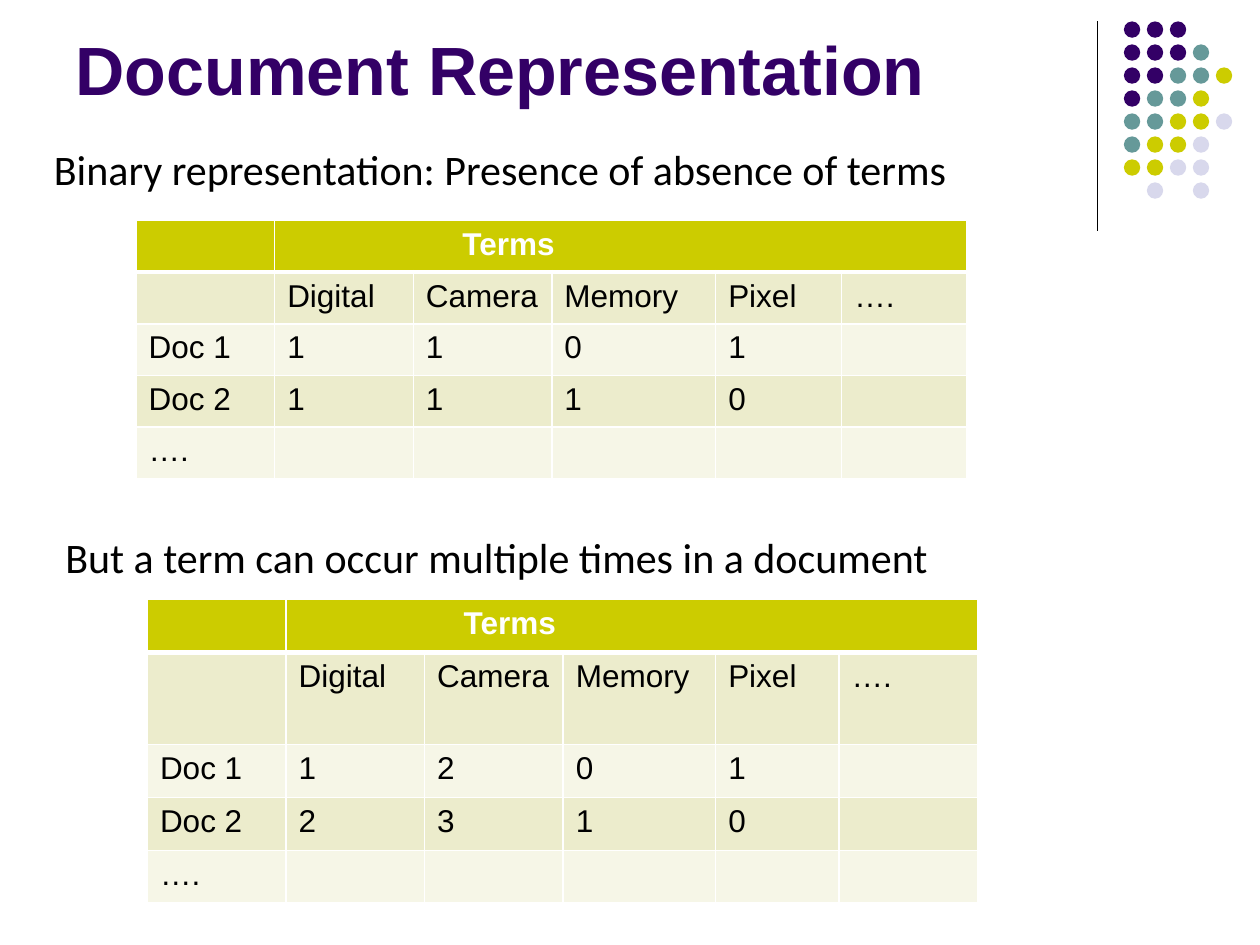
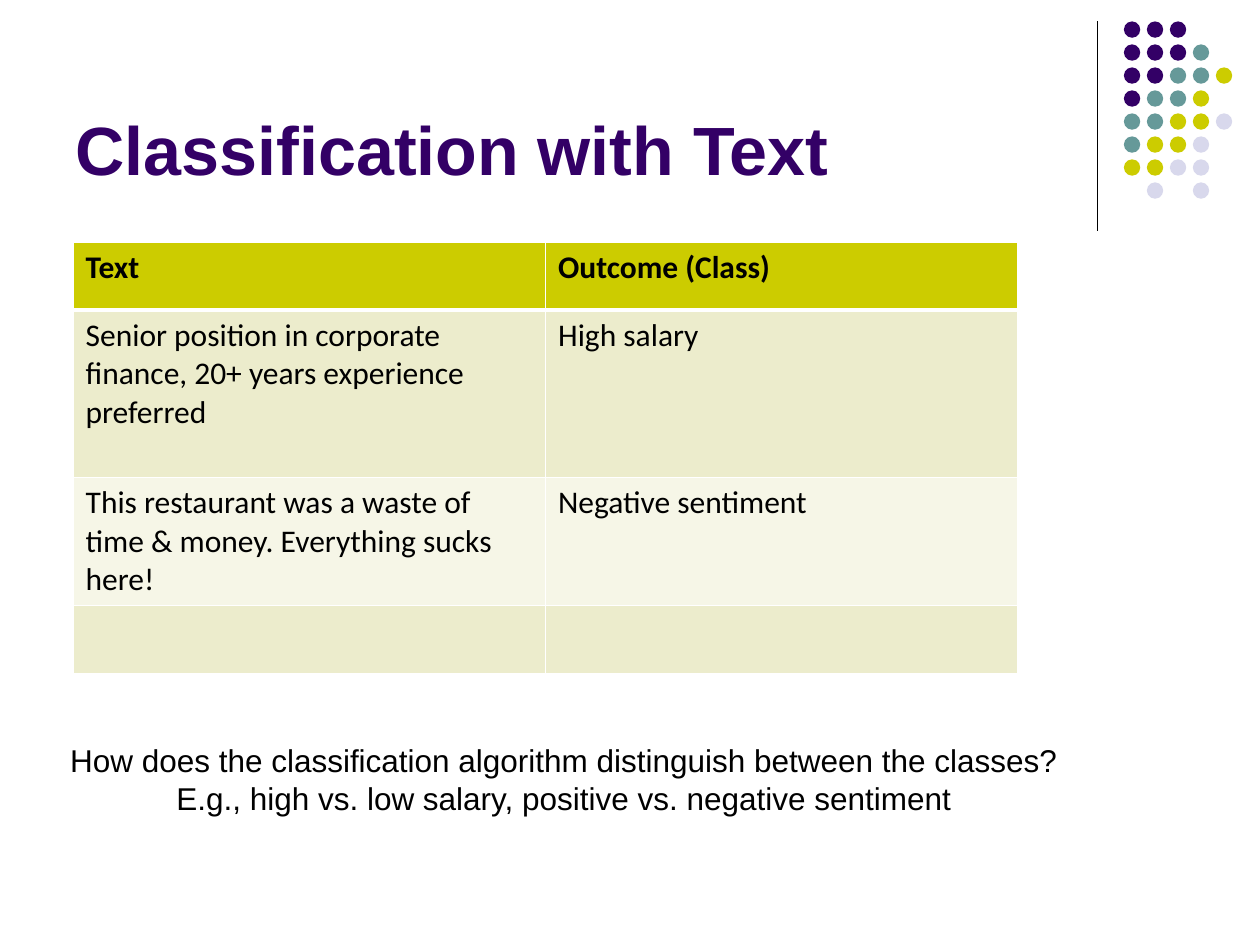
from lxml import etree
from pptx import Presentation
from pptx.dml.color import RGBColor
from pptx.enum.shapes import MSO_CONNECTOR, MSO_SHAPE
from pptx.enum.text import MSO_ANCHOR, MSO_AUTO_SIZE, PP_ALIGN
from pptx.oxml.ns import qn
from pptx.util import Inches, Pt

PURPLE = RGBColor(0x33, 0x00, 0x66)
TEAL = RGBColor(0x66, 0x99, 0x99)
LIME = RGBColor(0xCC, 0xCC, 0x00)
LILAC = RGBColor(0xD8, 0xD8, 0xEC)
BAND_DARK = RGBColor(0xEC, 0xEC, 0xCC)
BAND_LIGHT = RGBColor(0xF6, 0xF6, 0xE7)
WHITE = RGBColor(0xFF, 0xFF, 0xFF)
BLACK = RGBColor(0x00, 0x00, 0x00)
HEADING_FONT, BODY_FONT = "Arial", "Calibri"

# One letter per dot, a space where the grid has none
DOT_COLORS = {"P": PURPLE, "T": TEAL, "Y": LIME, "L": LILAC}
DOT_ROWS = ["PPP", "PPPT", "PPTTY", "PTTY", "TTYYL", "TYYL", "YYLL", " L L"]
DOT_SIZE = Inches(0.13)
DOT_PITCH = Inches(0.73) // 4


def box(left, top, width, height):
    return Inches(left), Inches(top), Inches(width), Inches(height)


def style_font(font, name, size, color, bold=False):
    font.name, font.size, font.bold = name, Pt(size), bold
    font.color.rgb = color


def add_corner(slide, left, top):
    """Vertical rule with the dot grid to its right."""
    rule = slide.shapes.add_connector(
        MSO_CONNECTOR.STRAIGHT, left, top, left, top + Inches(1.66))
    rule.line.color.rgb = BLACK
    rule.line.width = Pt(0.75)
    etree.SubElement(rule._element.spPr, qn("a:effectLst"))

    grid = slide.shapes.add_group_shape()
    for row, letters in enumerate(DOT_ROWS):
        for col, letter in enumerate(letters):
            if letter == " ":
                continue
            dot = grid.shapes.add_shape(
                MSO_SHAPE.OVAL, left + Inches(0.21) + col * DOT_PITCH,
                top + row * DOT_PITCH, DOT_SIZE, DOT_SIZE)
            dot.shadow.inherit = False
            dot.fill.solid()
            dot.fill.fore_color.rgb = DOT_COLORS[letter]
            dot.line.fill.background()


def add_titled_slide(prs, text, title_top):
    slide = prs.slides.add_slide(prs.slide_layouts[5])
    add_corner(slide, Inches(8.71), Inches(0.17))
    title = slide.shapes.title
    title.left, title.top, title.width, title.height = box(0.5, title_top, 8.25, 1.42)
    frame = title.text_frame
    frame.text = text
    frame.word_wrap = True
    frame.auto_size = MSO_AUTO_SIZE.NONE
    frame.vertical_anchor = MSO_ANCHOR.BOTTOM
    paragraph = frame.paragraphs[0]
    paragraph.alignment = PP_ALIGN.LEFT
    style_font(paragraph.runs[0].font, HEADING_FONT, 39, PURPLE, True)
    return slide


def add_text(slide, area, lines, font, size, align=PP_ALIGN.LEFT):
    frame = slide.shapes.add_textbox(*area).text_frame
    frame.word_wrap = False
    frame.auto_size = MSO_AUTO_SIZE.SHAPE_TO_FIT_TEXT
    frame.text = "\n".join(lines)
    for paragraph in frame.paragraphs:
        paragraph.alignment = align
        style_font(paragraph.runs[0].font, font, size, BLACK)


def set_borders(cell, top, bottom):
    """White cell edges; top and bottom are widths in points."""
    properties = cell._tc.get_or_add_tcPr()
    for tag, width in (("lnL", 1), ("lnR", 1), ("lnT", top), ("lnB", bottom)):
        edge = etree.SubElement(properties, qn(f"a:{tag}"), w=str(Pt(width)))
        fill = etree.SubElement(edge, qn("a:solidFill"))
        etree.SubElement(fill, qn("a:srgbClr"), val=str(WHITE))


def add_banded_table(slide, area, widths, heights, rows, font, header_color):
    table = slide.shapes.add_table(len(heights), len(widths), *area).table
    table.horz_banding = False
    for column, width in zip(table.columns, widths):
        column.width = Inches(width)
    for r, (values, height) in enumerate(zip(rows, heights)):
        table.rows[r].height = Inches(height)
        header = r == 0
        for c, value in enumerate(values):
            cell = table.cell(r, c)
            set_borders(cell, 3 if r == 1 else 1, 3 if header else 1)
            cell.fill.solid()
            cell.fill.fore_color.rgb = (
                LIME if header else BAND_DARK if r % 2 else BAND_LIGHT)
            cell.text = value
            paragraph = cell.text_frame.paragraphs[0]
            style_font(paragraph.font, font, 18, BLACK)
            for run in paragraph.runs:
                style_font(run.font, font, 18,
                           header_color if header else BLACK, header)
    return table


def add_term_table(slide, area, widths, heights, doc_counts, header_indent):
    """Document-by-term matrix under one merged "Terms" header."""
    rows = [["", "Terms", "", "", "", ""],
            ["", "Digital", "Camera", "Memory", "Pixel", "…."]]
    for number, counts in enumerate(doc_counts, 1):
        rows.append([f"Doc {number}", *map(str, counts), ""])
    rows.append(["….", "", "", "", "", ""])
    table = add_banded_table(slide, area, widths, heights, rows, HEADING_FONT, WHITE)
    terms = table.cell(0, 1)
    terms.merge(table.cell(0, 5))
    indent = terms.text_frame.paragraphs[0]._p.get_or_add_pPr()
    indent.set("marL", str(Inches(header_indent)))
    indent.set("indent", "0")


def build_representation(prs):
    slide = add_titled_slide(prs, "Document Representation", -0.5)

    # Presence or absence
    add_term_table(slide, box(1.08, 1.75, 6.57, 2.03),
                   [1.1, 1.1, 1.1, 1.3, 1, 0.99], [0.41] * 5,
                   [(1, 1, 0, 1), (1, 1, 1, 0)], 1.39)
    add_text(slide, box(0.33, 1.09, 7.43, 0.5),
             ["Binary representation: Presence of absence of terms "], BODY_FONT, 24)

    # Number of occurrences
    add_term_table(slide, box(1.17, 4.76, 6.57, 2.41),
                   [1.1, 1.1, 1.1, 1.21, 0.98, 1.1], [0.42, 0.73, 0.42, 0.42, 0.42],
                   [(1, 2, 0, 1), (2, 3, 1, 0)], 1.31)
    add_text(slide, box(0.42, 4.17, 7.11, 0.5),
             ["But a term can occur multiple times in a document"], BODY_FONT, 24)


def build_classification(prs):
    slide = add_titled_slide(prs, "Classification with Text", 0.13)

    # Examples and their classes
    rows = [
        ("Text", "Outcome (Class)"),
        ("Senior position in corporate finance, 20+ years experience preferred",
         "High salary"),
        ("This restaurant was a waste of time & money. Everything sucks here!",
         "Negative sentiment"),
        ("", ""),
    ]
    add_banded_table(slide, box(0.58, 1.92, 7.5, 3.4), [3.75, 3.75],
                     [0.54, 1.33, 0.93, 0.54], rows, BODY_FONT, BLACK)

    # Closing question
    add_text(slide, box(0.42, 5.83, 8.11, 0.71),
             ["How does the classification algorithm distinguish between the classes?",
              "E.g., high vs. low salary, positive vs. negative sentiment"],
             HEADING_FONT, 18, PP_ALIGN.CENTER)


prs = Presentation()
prs.slide_width, prs.slide_height = Inches(10), Inches(7.5)
build_representation(prs)
build_classification(prs)
prs.save("out.pptx")
